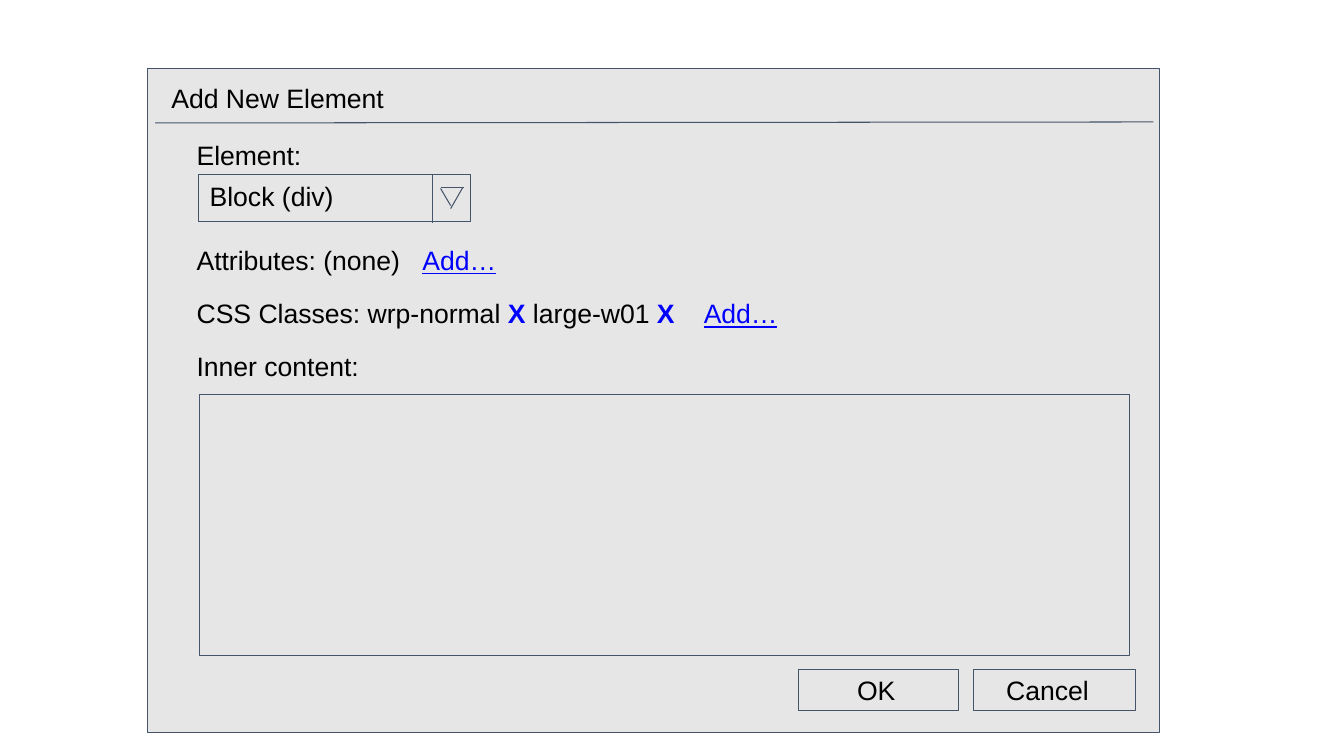
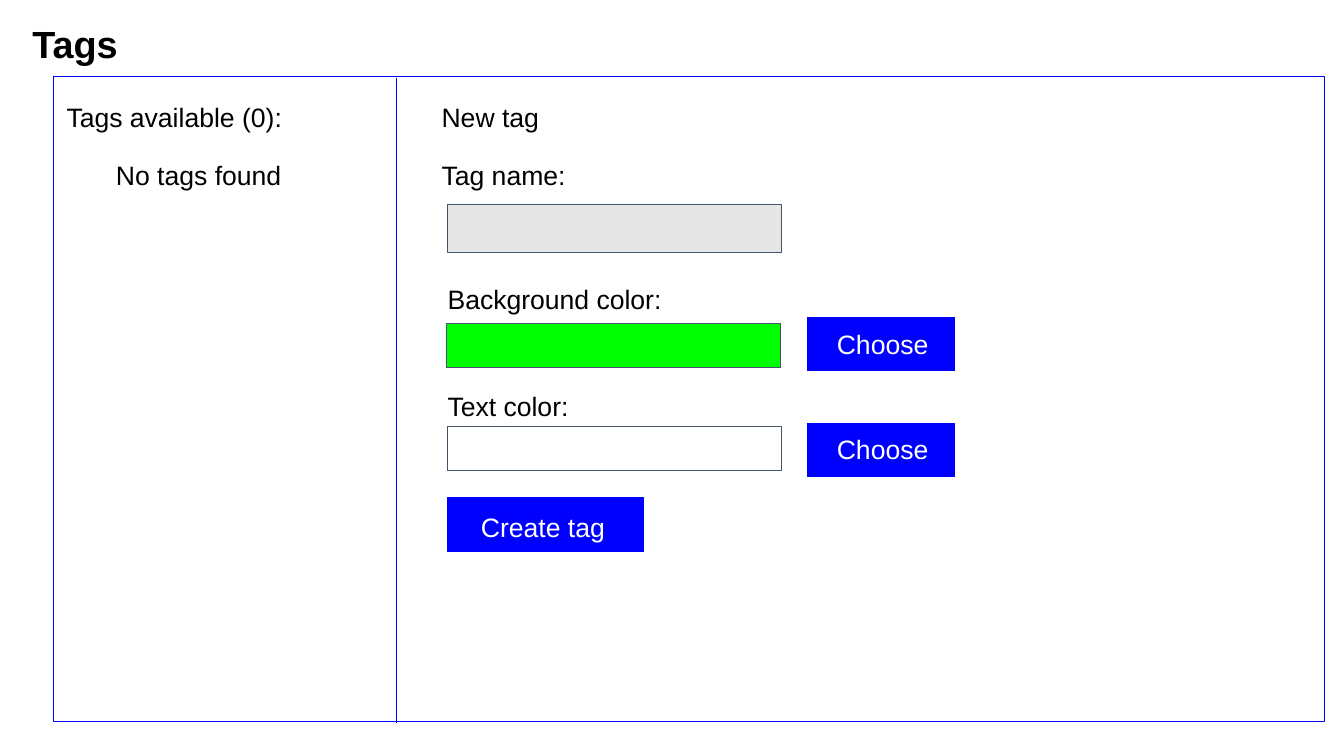
from dataclasses import dataclass

from lxml import etree
from pptx import Presentation
from pptx import util as u
from pptx.dml.color import RGBColor
from pptx.enum import shapes, text
from pptx.oxml import ns

EMU_PER_PX = 9144
FONT = "Arial"
BODY_SIZE = 19
HEADING_SIZE = 27
INSET = 13
LABEL_HEIGHT = 59

BLACK = RGBColor(0x00, 0x00, 0x00)
WHITE = RGBColor(0xFF, 0xFF, 0xFF)
GREY = RGBColor(0xE7, 0xE6, 0xE6)
SLATE = RGBColor(0x44, 0x54, 0x6A)
BLUE = RGBColor(0x00, 0x00, 0xFF)
GREEN = RGBColor(0x00, 0xFF, 0x00)


@dataclass(frozen=True)
class Span:
    text: str
    color: RGBColor = BLACK
    bold: bool = False
    underline: bool = False


@dataclass(frozen=True)
class Box:
    left: int
    top: int
    width: int
    height: int
    fill: RGBColor = GREY
    line: RGBColor = SLATE
    text: str = ""
    color: RGBColor = BLACK
    inset_left: int = 0
    inset_top: int = 0


@dataclass(frozen=True)
class Label:
    left: int
    top: int
    width: int
    spans: tuple[Span, ...]
    tab: int = 0


@dataclass(frozen=True)
class Line:
    start: tuple[int, int]
    end: tuple[int, int]
    color: RGBColor = SLATE


def px(length: int) -> u.Emu:
    return u.Emu(length * EMU_PER_PX)


def write_text(frame, *spans: Span, size: int = BODY_SIZE, tab: int = 0,
               left: int = INSET, top: int = INSET, right: int = INSET,
               bottom: int = INSET, wrap: bool = True,
               fit=text.MSO_AUTO_SIZE.SHAPE_TO_FIT_TEXT) -> None:
    frame.word_wrap = wrap
    frame.auto_size = fit
    frame.vertical_anchor = text.MSO_ANCHOR.TOP
    frame.margin_left, frame.margin_top = px(left), px(top)
    frame.margin_right, frame.margin_bottom = px(right), px(bottom)
    para = frame.paragraphs[0]
    para.alignment = text.PP_ALIGN.LEFT
    if tab:
        properties = para._p.get_or_add_pPr()
        stops = etree.SubElement(properties, ns.qn("a:tabLst"))
        etree.SubElement(stops, ns.qn("a:tab"), pos=str(px(tab)), algn="l")
    for span in spans:
        run = para.add_run()
        run.text = span.text
        run.font.name = FONT
        run.font.size = u.Pt(size)
        run.font.bold = span.bold
        run.font.underline = span.underline
        run.font.color.rgb = span.color


def draw_box(page, box: Box) -> None:
    shape = page.shapes.add_shape(
        shapes.MSO_SHAPE.RECTANGLE,
        px(box.left), px(box.top), px(box.width), px(box.height))
    shape.shadow.inherit = False
    shape.fill.solid()
    shape.fill.fore_color.rgb = box.fill
    shape.line.color.rgb = box.line
    shape.line.width = u.Pt(0.75)
    if box.text:
        write_text(shape.text_frame, Span(box.text, box.color),
                   left=box.inset_left, top=box.inset_top, right=0, bottom=0,
                   wrap=False, fit=text.MSO_AUTO_SIZE.NONE)


def draw_label(page, label: Label) -> None:
    shape = page.shapes.add_textbox(
        px(label.left), px(label.top), px(label.width), px(LABEL_HEIGHT))
    write_text(shape.text_frame, *label.spans, tab=label.tab)


def draw_line(page, line: Line) -> None:
    connector = page.shapes.add_connector(
        shapes.MSO_CONNECTOR.STRAIGHT,
        *(px(value) for value in line.start + line.end))
    connector.line.color.rgb = line.color
    connector.line.width = u.Pt(0.75)
    etree.SubElement(connector.element.spPr, ns.qn("a:effectLst"))


def place_title(page, left: int, top: int, width: int, height: int,
                title_span: Span, size: int = BODY_SIZE) -> None:
    title = page.shapes.title
    title.left, title.top = px(left), px(top)
    title.width, title.height = px(width), px(height)
    write_text(title.text_frame, title_span, size=size)
    title.element.getparent().append(title.element)


def add_page(deck, boxes: list[Box], lines: list[Line], labels: list[Label]):
    page = deck.slides.add_slide(deck.slide_layouts.get_by_name("Title Only"))
    for box in boxes:
        draw_box(page, box)
    for line in lines:
        draw_line(page, line)
    for label in labels:
        draw_label(page, label)
    return page


def build_element_dialog(deck) -> None:
    boxes = [
        Box(146, 68, 1004, 659),
        Box(197, 173, 270, 47, text="Block (div)", inset_left=11, inset_top=6),
        Box(198, 391, 922, 259),
        Box(792, 664, 159, 41, text="OK", inset_left=58, inset_top=5),
        Box(966, 664, 160, 41, text="Cancel", inset_left=32, inset_top=5),
    ]
    lines = [
        Line((154, 122), (1144, 121)),
        Line((429, 174), (429, 221)),
        Line((437, 186), (460, 186)),
        Line((437, 187), (447, 204)),
        Line((459, 186), (447, 207)),
    ]
    add_link = Span("Add…", BLUE, underline=True)
    remove_mark = Span("X", BLUE, bold=True)
    labels = [
        Label(182, 125, 330, (Span("Element:"),)),
        Label(182, 229, 817, (Span("Attributes: (none)\t"), add_link), tab=224),
        Label(182, 282, 908,
              (Span("CSS Classes: wrp-normal "), remove_mark,
               Span(" large-w01 "), remove_mark, Span("\t"), add_link),
              tab=503),
        Label(182, 334, 459, (Span("Inner content:"),)),
    ]
    page = add_page(deck, boxes, lines, labels)
    place_title(page, 157, 68, 1004, LABEL_HEIGHT, Span("Add New Element"))


def build_tags_page(deck) -> None:
    choose_buttons = [
        Box(801, top, 146, 53, BLUE, BLUE, "Choose", WHITE, 29, 10)
        for top in (315, 420)
    ]
    boxes = [
        Box(53, 76, 1261, 640, WHITE, BLUE),
        Box(444, 203, 331, 48),
        Box(443, 321, 331, 44, GREEN),
        Box(444, 423, 331, 44, WHITE),
        Box(444, 494, 194, 53, BLUE, BLUE, "Create tag", WHITE, 33, 13),
        *choose_buttons,
    ]
    lines = [Line((393, 77), (393, 717), BLUE)]
    labels = [
        Label(53, 87, 398, (Span("Tags available (0):"),)),
        Label(102, 145, 268, (Span("No tags found"),)),
        Label(425, 87, 314, (Span("New tag"),)),
        Label(425, 145, 199, (Span("Tag name:"),)),
        Label(431, 268, 256, (Span("Background color:"),)),
        Label(431, 374, 220, (Span("Text color:"),)),
    ]
    page = add_page(deck, boxes, lines, labels)
    place_title(page, 19, 8, 562, 72, Span("Tags", bold=True), HEADING_SIZE)


def main() -> None:
    deck = Presentation()
    deck.slide_width, deck.slide_height = px(1333), px(750)
    build_element_dialog(deck)
    build_tags_page(deck)
    deck.save("out.pptx")


if __name__ == "__main__":
    main()
